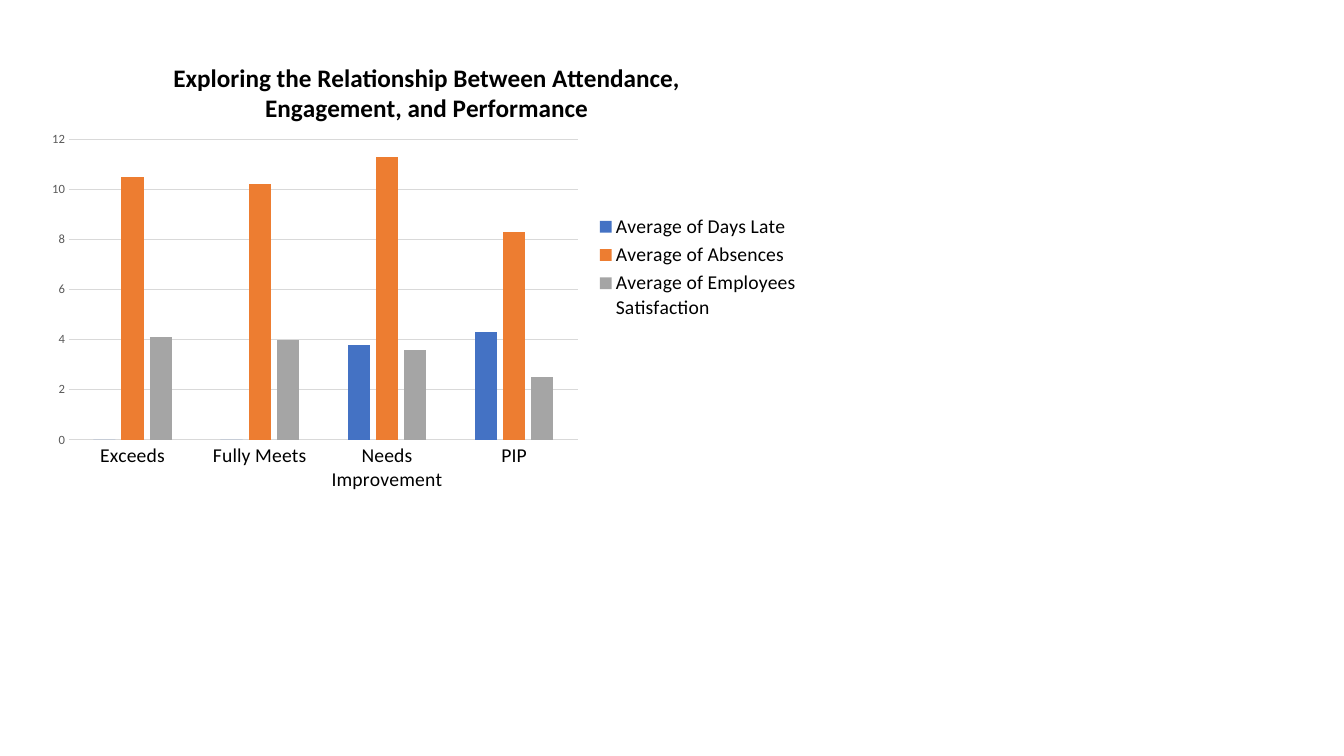
from lxml.etree import SubElement
from pptx import Presentation
from pptx.chart.data import CategoryChartData
from pptx.dml.color import RGBColor
from pptx.enum.chart import XL_CHART_TYPE, XL_LEGEND_POSITION, XL_TICK_MARK
from pptx.oxml.ns import qn
from pptx.util import Inches, Pt

# Content
TITLE = "Exploring the Relationship Between Attendance, Engagement, and Performance"
RATINGS = ["Exceeds", "Fully Meets", "Needs Improvement", "PIP"]
AVERAGES = [
    ("Average of Days Late", (0, 0, 3.8, 4.3), "late"),
    ("Average of Absences", (10.5, 10.2, 11.3, 8.3), "absences"),
    ("Average of Employees Satisfaction", (4.1, 4, 3.6, 2.5), "satisfaction"),
]
COLORS = {
    "late": "4472C4",
    "absences": "ED7D31",
    "satisfaction": "A5A5A5",
    "text": "000000",
    "scale": "595959",
    "grid": "D9D9D9",
}


def color(name):
    return RGBColor.from_string(COLORS[name])


def format_font(font, size, name="text", bold=False):
    font.name = "Calibri"
    font.size = Pt(size)
    font.bold = bold
    font.color.rgb = color(name)


def write_text(frame, text, **font_format):
    paragraph = frame.paragraphs[0]
    run = paragraph.add_run()
    run.text = text
    format_font(run.font, **font_format)


def format_line(line):
    line.color.rgb = color("grid")
    line.width = Pt(0.75)


def place(part, index, **fractions):
    """Fix a chart part at fractions of the chart's width and height."""
    for old in part.findall(qn("c:layout")):
        part.remove(old)
    layout = SubElement(part, qn("c:layout"))
    part.insert(index, layout)
    manual = SubElement(layout, qn("c:manualLayout"))
    if "w" in fractions:
        SubElement(manual, qn("c:layoutTarget")).set("val", "inner")
    for side in ("x", "y"):
        SubElement(manual, qn(f"c:{side}Mode")).set("val", "edge")
    for side, value in fractions.items():
        SubElement(manual, qn(f"c:{side}")).set("val", str(value))


# Slide
deck = Presentation()
deck.slide_width, deck.slide_height = Inches(13.33), Inches(7.5)
slide = deck.slides.add_slide(deck.slide_layouts[6])

# Chart
data = CategoryChartData()
data.categories = RATINGS
for label, values, _ in AVERAGES:
    data.add_series(label, values)
chart = slide.shapes.add_chart(
    XL_CHART_TYPE.COLUMN_CLUSTERED,
    Inches(0.37), Inches(0.32), Inches(7.67), Inches(4.66), data,
).chart
format_font(chart.font, 10)

# Columns
columns = chart.plots[0]
columns.gap_width, columns.overlap = 219, -27
columns.vary_by_categories = False
for series, (_, _, fill) in zip(columns.series, AVERAGES):
    series.format.fill.solid()
    series.format.fill.fore_color.rgb = color(fill)

# Chart title
write_text(chart.chart_title.text_frame, TITLE, size=18, bold=True)
place(chart.chart_title._element, 1, x=0.17, y=0.05)
place(chart._chartSpace.chart.plotArea, 0, x=0.041, y=0.228, w=0.658, h=0.64)

# Axes
ratings, scale = chart.category_axis, chart.value_axis
for axis in (ratings, scale):
    axis.major_tick_mark = axis.minor_tick_mark = XL_TICK_MARK.NONE
format_font(ratings.tick_labels.font, 14)
format_line(ratings.format.line)
format_font(scale.tick_labels.font, 9, "scale")
scale.format.line.fill.background()
scale.minimum_scale, scale.maximum_scale, scale.major_unit = 0, 12, 2
format_line(scale.major_gridlines.format.line)

# Legend
chart.has_legend = True
chart.legend.position = XL_LEGEND_POSITION.RIGHT
chart.legend.include_in_layout = False
format_font(chart.legend.font, 14)

deck.save("out.pptx")
